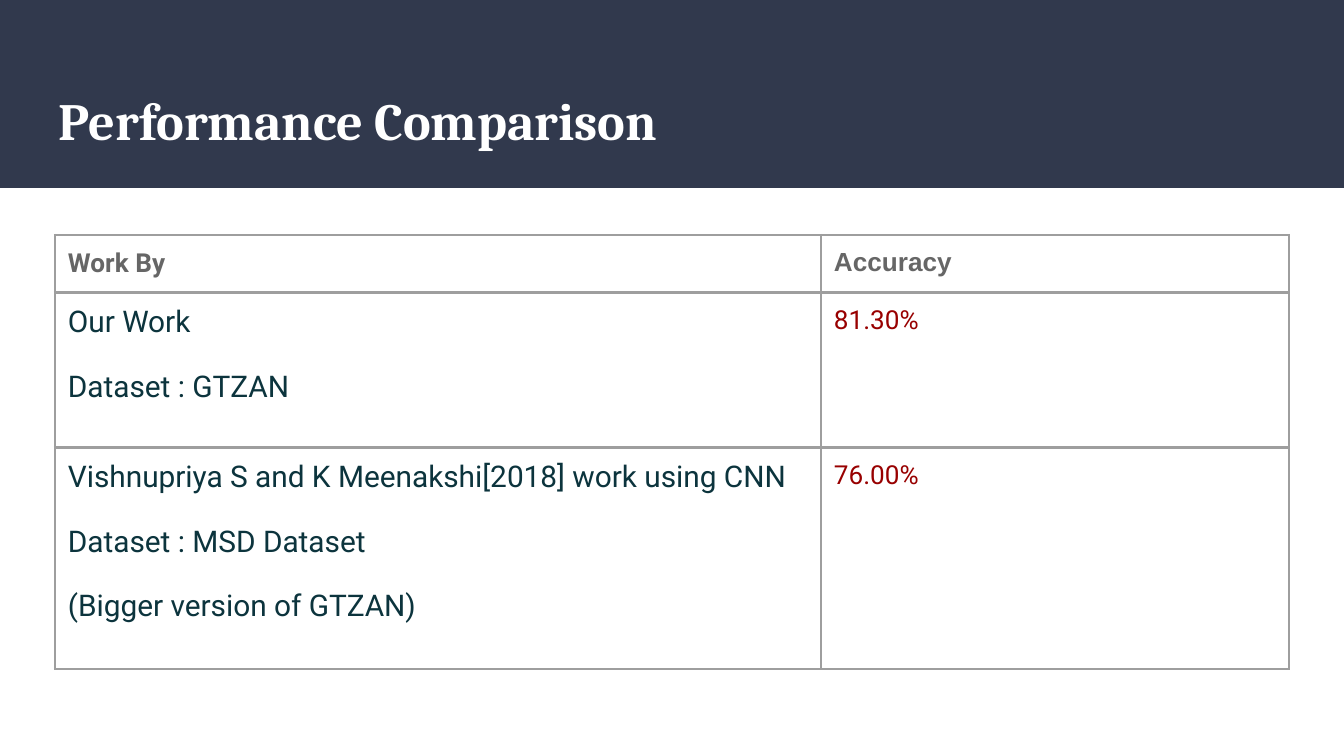
from dataclasses import dataclass

from lxml import etree
from pptx import Presentation
from pptx.dml.color import RGBColor
from pptx.enum.shapes import MSO_SHAPE
from pptx.enum.text import MSO_ANCHOR
from pptx.oxml.ns import qn
from pptx.util import Pt

RECT = MSO_SHAPE.RECTANGLE
MIDDLE = MSO_ANCHOR.MIDDLE
SCALE = 914400 / 134.4
INSET = 13
GREY = "9E9E9E"


@dataclass
class Style:
    font: str
    size: int
    color: str
    bold: bool = False


@dataclass
class Entry:
    lines: list[str]
    style: Style


TITLE = Style("Cambria", 28, "FFFFFF", True)
WORK = Style("Roboto", 14, "666666", True)
SCORE = Style("Arial", 14, "666666", True)
BODY = Style("Roboto", 16, "0C343D")
VALUE = Style("Roboto", 14, "980000")

COLS = [766, 468]
ROWS = [57, 155, 222]
GRID = [
    [Entry(["Work By"], WORK), Entry(["Accuracy"], SCORE)],
    [Entry(["Our Work", "Dataset : GTZAN"], BODY), Entry(["81.30%"], VALUE)],
    [
        Entry([
            "Vishnupriya S and K Meenakshi[2018] work using CNN",
            "Dataset : MSD Dataset",
            "(Bigger version of GTZAN)",
        ], BODY),
        Entry(["76.00%"], VALUE),
    ],
]


def px(n: int) -> int:
    return round(n * SCALE)


def paint(code: str) -> RGBColor:
    return RGBColor.from_string(code)


def write(frame, lines: list[str], style: Style) -> None:
    frame.text = "\n".join(lines)
    for i, para in enumerate(frame.paragraphs):
        if i:
            para.space_before = Pt(16)
        for run in para.runs:
            font = run.font
            font.name = style.font
            font.size = Pt(style.size)
            font.bold = style.bold
            font.color.rgb = paint(style.color)


def pad(box) -> None:
    box.margin_left = box.margin_right = px(INSET)
    box.margin_top = box.margin_bottom = px(INSET)


def edge(cell) -> None:
    props = cell._tc.get_or_add_tcPr()
    for i, side in enumerate(("a:lnL", "a:lnR", "a:lnT", "a:lnB")):
        line = etree.Element(qn(side), w=str(Pt(1.5)))
        fill = etree.SubElement(line, qn("a:solidFill"))
        etree.SubElement(fill, qn("a:srgbClr"), val=GREY)
        props.insert(i, line)


def header(slide) -> None:
    band = slide.shapes.add_shape(RECT, 0, 0, px(1344), px(188))
    band.shadow.inherit = False
    band.fill.solid()
    band.fill.fore_color.rgb = paint("31394D")
    band.line.fill.background()
    box = slide.shapes.add_textbox(px(46), px(74), px(1252), px(92))
    frame = box.text_frame
    frame.word_wrap = True
    frame.vertical_anchor = MIDDLE
    pad(frame)
    write(frame, ["Performance Comparison"], TITLE)


def results(slide) -> None:
    table = slide.shapes.add_table(
        len(ROWS), len(COLS), px(55), px(235), px(sum(COLS)), px(sum(ROWS))
    ).table
    table.first_row = table.horz_banding = False
    for col, width in zip(table.columns, COLS):
        col.width = px(width)
    for row, height, entries in zip(table.rows, ROWS, GRID):
        row.height = px(height)
        for cell, entry in zip(row.cells, entries):
            cell.fill.background()
            pad(cell)
            edge(cell)
            write(cell.text_frame, entry.lines, entry.style)


def main() -> None:
    deck = Presentation()
    deck.slide_width, deck.slide_height = px(1344), px(756)
    slide = deck.slides.add_slide(deck.slide_layouts[6])
    header(slide)
    results(slide)
    deck.save("out.pptx")


if __name__ == "__main__":
    main()
